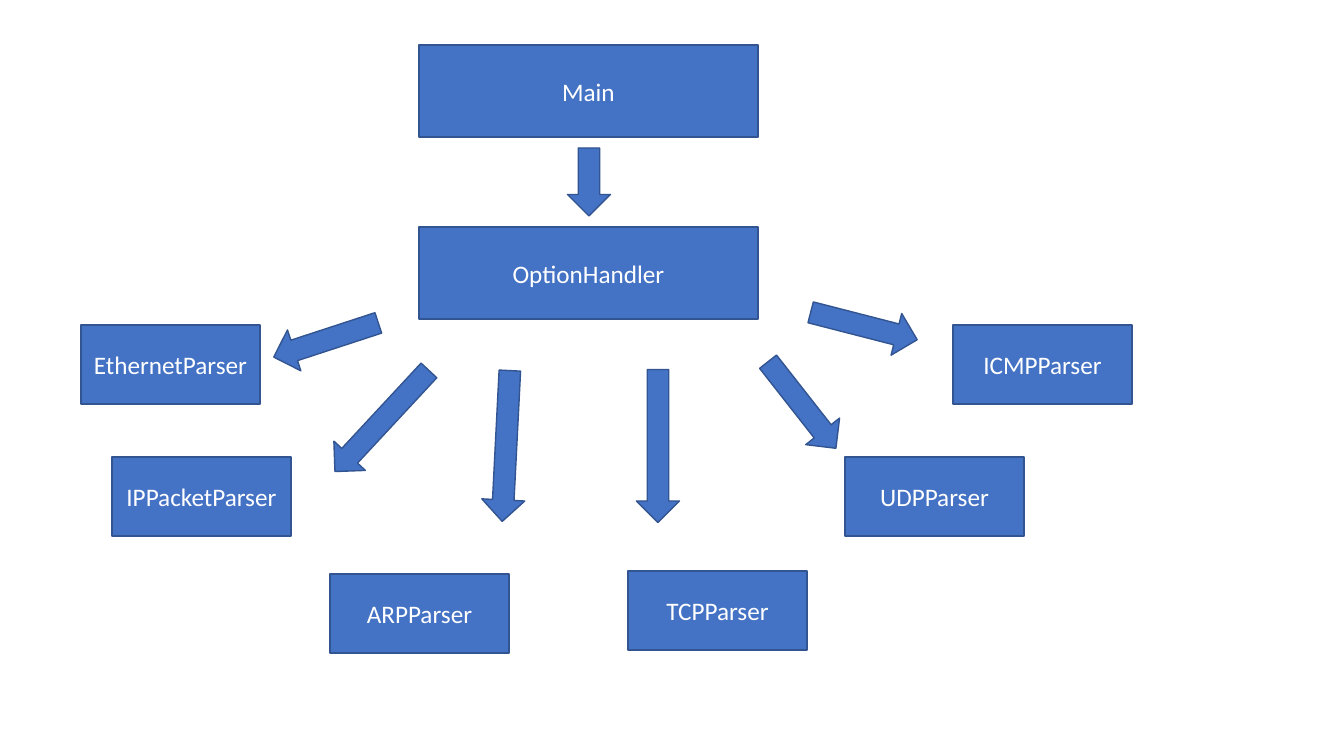
"""Build the class diagram of a packet parser as one slide."""
from dataclasses import dataclass

from pptx import Presentation
from pptx.dml.color import RGBColor
from pptx.enum.shapes import MSO_SHAPE as Shape
from pptx.enum.text import MSO_ANCHOR as Anchor, PP_ALIGN as Align
from pptx.util import Pt

CALLERS = [("Main", 419, 45), ("OptionHandler", 419, 227)]
PARSERS = [
    ("EthernetParser", 81, 325),
    ("IPPacketParser", 112, 457),
    ("ARPParser", 330, 574),
    ("TCPParser", 628, 571),
    ("UDPParser", 845, 457),
    ("ICMPParser", 953, 325),
]
ARROWS = [
    {"center": (589, 182), "length": 68, "turn": 0},
    {"center": (326, 340), "length": 110, "turn": 71.9},
    {"center": (382, 421), "length": 138, "turn": 42.9},
    {"center": (506, 446), "length": 151, "turn": 2.9},
    {"center": (658, 446), "length": 153, "turn": 0},
    {"center": (802, 405), "length": 110, "turn": 321.9},
    {"center": (864, 326), "length": 110, "turn": 284.4},
]
PAGE_SIZE = (1344, 756)
CALLER_SIZE = (339, 92)
PARSER_SIZE = (179, 79)
ARROW_WIDTH = 43
EMU_PER_PIXEL = 914400 / 100.8


@dataclass(frozen=True)
class Theme:
    fill: RGBColor = RGBColor.from_string("4472C4")
    outline: RGBColor = RGBColor.from_string("325491")
    text: RGBColor = RGBColor.from_string("FFFFFF")
    font: str = "Calibri"
    text_size: Pt = Pt(18)
    line_width: Pt = Pt(1)


THEME = Theme()


def emu(pixels):
    return round(pixels * EMU_PER_PIXEL)


def add_part(page, kind, left, top, width, height):
    part = page.shapes.add_shape(kind, *map(emu, (left, top, width, height)))
    part.shadow.inherit = False
    part.fill.solid()
    part.fill.fore_color.rgb = THEME.fill
    part.line.color.rgb = THEME.outline
    part.line.width = THEME.line_width
    return part


def add_class_box(page, name, left, top, size):
    box = add_part(page, Shape.RECTANGLE, left, top, *size)
    frame = box.text_frame
    frame.text = name
    frame.word_wrap = True
    frame.vertical_anchor = Anchor.MIDDLE
    para = frame.paragraphs[0]
    para.alignment = Align.CENTER
    font = para.runs[0].font
    font.name, font.size = THEME.font, THEME.text_size
    font.color.rgb = THEME.text


def add_call_arrow(page, center, length, turn):
    left, top = center[0] - ARROW_WIDTH / 2, center[1] - length / 2
    arrow = add_part(page, Shape.DOWN_ARROW, left, top, ARROW_WIDTH, length)
    arrow.rotation = turn


deck = Presentation()
deck.slide_width, deck.slide_height = map(emu, PAGE_SIZE)
page = deck.slides.add_slide(deck.slide_layouts.get_by_name("Blank"))
for classes, size in ((CALLERS, CALLER_SIZE), (PARSERS, PARSER_SIZE)):
    for name, left, top in classes:
        add_class_box(page, name, left, top, size)
for arrow in ARROWS:
    add_call_arrow(page, **arrow)
deck.save("out.pptx")
